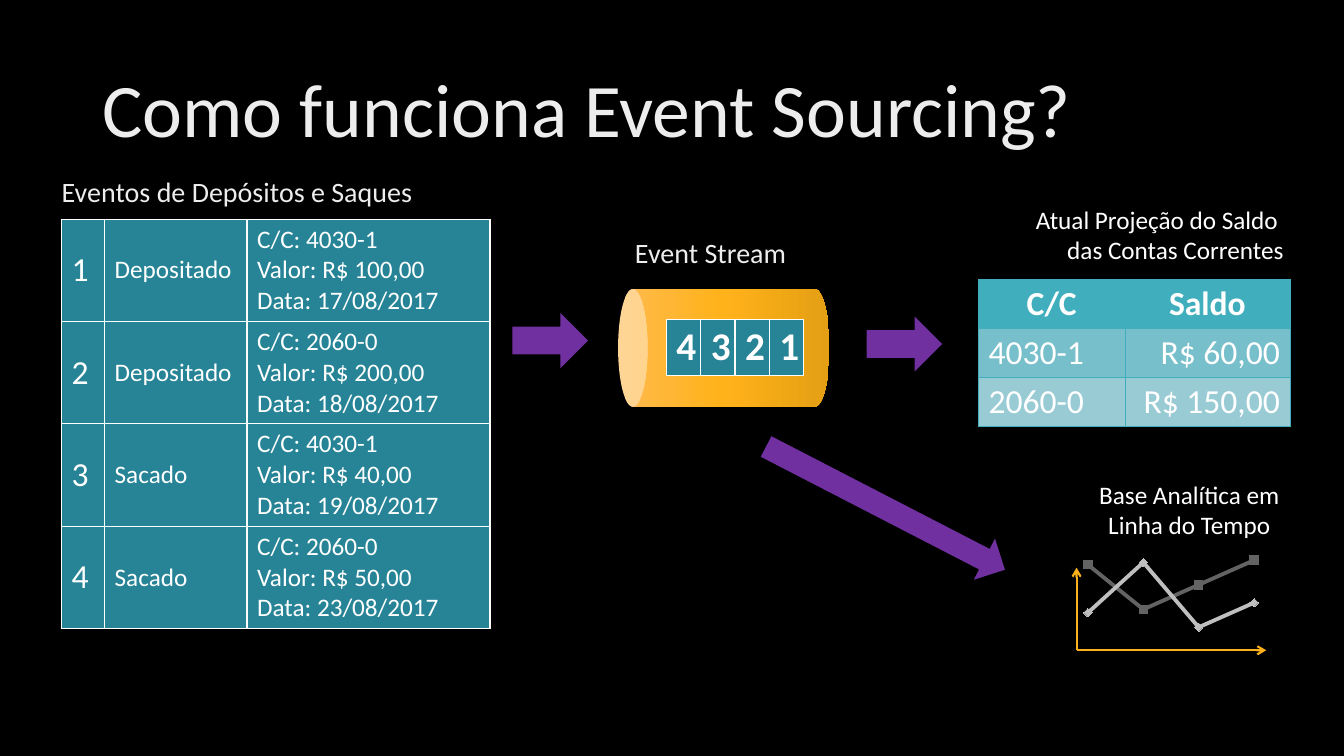
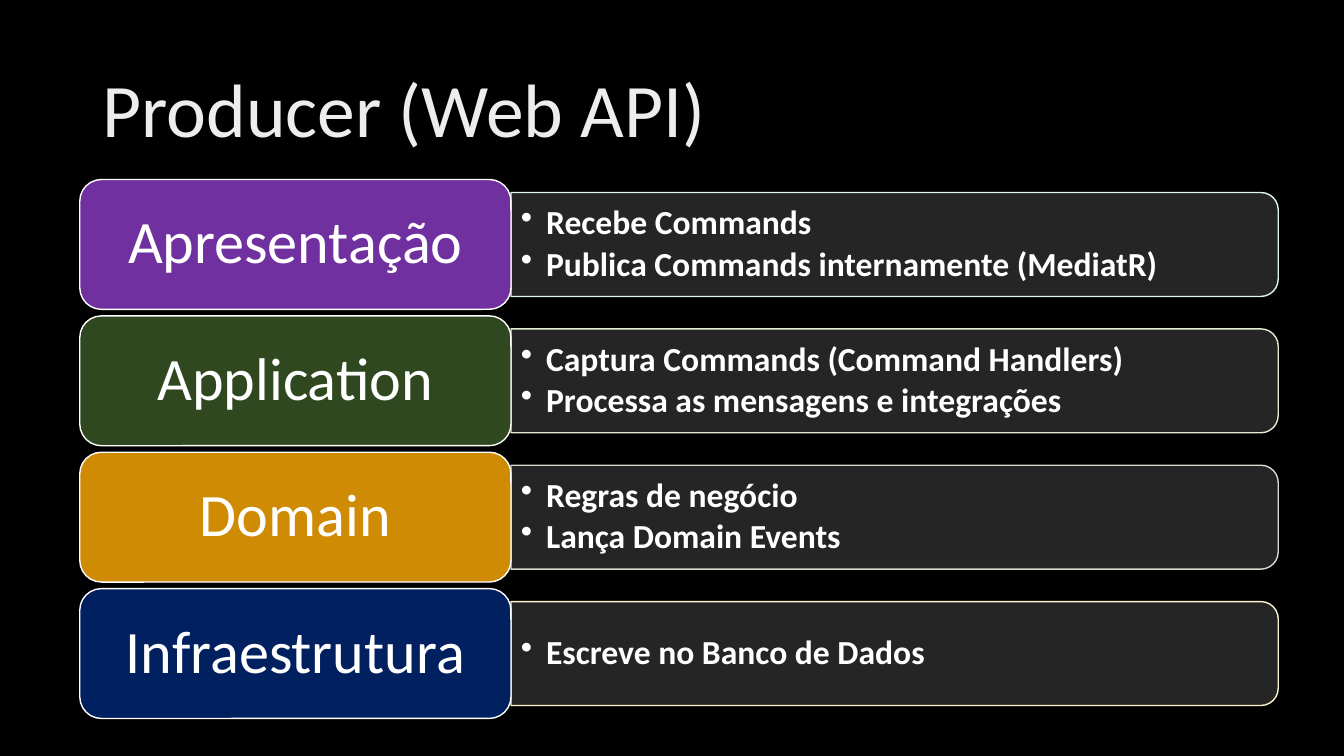
"""Build two slides that explain event sourcing and its producer layers."""
from dataclasses import dataclass
from typing import Any, NamedTuple, Optional

from lxml.etree import SubElement
from pptx import Presentation
from pptx.chart.data import CategoryChartData
from pptx.dml.color import RGBColor
from pptx.enum.chart import XL_CHART_TYPE, XL_MARKER_STYLE
from pptx.enum.shapes import MSO_CONNECTOR, MSO_SHAPE
from pptx.enum.text import MSO_ANCHOR, PP_ALIGN
from pptx.oxml import parse_xml
from pptx.oxml.ns import nsdecls, qn
from pptx.util import Pt


@dataclass(frozen=True)
class Theme:
    """Colours and type sizes of the deck."""
    font: str = "Calibri"
    ground: str = "000000"
    white: str = "FFFFFF"
    heading: str = "EDEDED"
    purple: str = "7030A0"
    event: str = "268496"
    balance: str = "41AEBD"
    balance_rows: tuple = ("77BFCB", "99CBD4")
    can: tuple = ((0, "FFBA4F"), (50, "FFB219"), (100, "E59F14"))
    axis: str = "FCB11C"
    trends: tuple = ("636363", "BFBFBF")
    panel: str = "252526"
    title_size: float = 54
    layer_size: float = 43
    stream_size: float = 28
    large_size: float = 24
    caption_size: float = 20
    body_size: float = 18


THEME = Theme()


class Frame(NamedTuple):
    """Left, top, width and height in points."""
    left: float
    top: float
    width: float
    height: float

    def lengths(self) -> list:
        """Return the four values as lengths."""
        return [Pt(value) for value in self]


class Style(NamedTuple):
    """Look of a text."""
    size: float
    color: str = THEME.white
    bold: bool = False
    align: PP_ALIGN = PP_ALIGN.LEFT
    spacing: Optional[float] = None
    after: float = 0


class CellLook(NamedTuple):
    """Text, fill and look of one table cell."""
    text: str
    style: Style
    fill: str
    anchor: MSO_ANCHOR = MSO_ANCHOR.TOP


class Label(NamedTuple):
    """A free text on the page."""
    text: str
    frame: Frame
    style: Style
    anchor: MSO_ANCHOR = MSO_ANCHOR.TOP
    wrap: bool = True


class Arrow(NamedTuple):
    """A block arrow."""
    frame: Frame
    rotation: float = 0


class Layer(NamedTuple):
    """One application layer with its duties."""
    name: str
    color: str
    outline: str
    duties: tuple


HEADING = Style(THEME.title_size, THEME.heading, spacing=0.9)
CAPTION = Style(THEME.caption_size, THEME.heading, spacing=0.9)
BODY = Style(THEME.body_size)
LARGE = Style(THEME.large_size)
LABELS = (
    Label("Atual Projeção do Saldo \vdas Contas Correntes", Frame(682, 142.5, 242, 51),
          BODY._replace(align=PP_ALIGN.RIGHT)),
    Label("Base Analítica em\vLinha do Tempo", Frame(776, 339, 147, 51),
          BODY._replace(align=PP_ALIGN.CENTER), wrap=False),
    Label("Event Stream", Frame(446.5, 150, 128, 63), CAPTION, MSO_ANCHOR.MIDDLE),
    Label("Eventos de Depósitos e Saques", Frame(37, 106.5, 316, 63), CAPTION, MSO_ANCHOR.MIDDLE),
)
ARROWS = (
    Arrow(Frame(366, 223.5, 54, 39.5)),
    Arrow(Frame(619, 226, 54, 39.5)),
    Arrow(Frame(536.5, 346.5, 192, 33), 27.3),
)
EVENTS = (
    ("Depositado", "4030-1", "100,00", "17/08/2017"),
    ("Depositado", "2060-0", "200,00", "18/08/2017"),
    ("Sacado", "4030-1", "40,00", "19/08/2017"),
    ("Sacado", "2060-0", "50,00", "23/08/2017"),
)
BALANCES = (("4030-1", "R$ 60,00"), ("2060-0", "R$ 150,00"))
TRENDS = (
    ("Series 1", (96, 56, 78, 100), XL_MARKER_STYLE.SQUARE),
    ("Series 2", (53, 98, 40, 62), XL_MARKER_STYLE.DIAMOND),
)
LAYERS = (
    Layer("Apresentação", THEME.purple, "DDF7EF",
          ("Recebe Commands", "Publica Commands internamente (MediatR)")),
    Layer("Application", "30481F", "E0EDD0",
          ("Captura Commands (Command Handlers)", "Processa as mensagens e integrações")),
    Layer("Domain", "CF8B03", "D2DBCE", ("Regras de negócio", "Lança Domain Events")),
    Layer("Infraestrutura", "002060", "FBF2CE", ("Escreve no Banco de Dados",)),
)


def rgb(color: str) -> RGBColor:
    """Turn a hex text into a colour."""
    return RGBColor.from_string(color)


def assign(target: Any, values: dict) -> None:
    """Set attributes from a dict."""
    for name, value in values.items():
        setattr(target, name, value)


def paint(fill: Any, color: str) -> None:
    """Make a fill solid."""
    fill.solid()
    fill.fore_color.rgb = rgb(color)


def write(text_frame: Any, lines: tuple, style: Style, bulleted: bool = False) -> None:
    """Write paragraphs in one style."""
    text_frame.text = "\n".join(lines)
    for para in text_frame.paragraphs:
        if bulleted:
            properties = para._p.get_or_add_pPr()
            assign_bullet = {"marL": str(Pt(18)), "indent": str(Pt(-18))}
            for name, value in assign_bullet.items():
                properties.set(name, value)
            SubElement(properties, qn("a:buChar")).set("char", "•")
        assign(para, {"alignment": style.align, "line_spacing": style.spacing,
                      "space_before": Pt(0), "space_after": Pt(style.after)})
        for span in para.runs:
            assign(span.font, {"name": THEME.font, "size": Pt(style.size), "bold": style.bold})
            span.font.color.rgb = rgb(style.color)


def add_label(page: Any, label: Label, bulleted: bool = False) -> None:
    """Add a text box."""
    box = page.shapes.add_textbox(*label.frame.lengths()).text_frame
    assign(box, {"word_wrap": label.wrap, "vertical_anchor": label.anchor})
    write(box, tuple(label.text.split("\n")), label.style, bulleted)


def add_block(page: Any, kind: MSO_SHAPE, frame: Frame, color: str,
              outline: Optional[str] = None, rotation: float = 0) -> Any:
    """Add a flat preset shape."""
    block = page.shapes.add_shape(kind, *frame.lengths())
    block.shadow.inherit = False
    block.rotation = rotation
    paint(block.fill, color)
    if outline:
        paint(block.line.fill, outline)
        block.line.width = Pt(1)
    else:
        block.line.fill.background()
    return block


def add_can(page: Any, frame: Frame) -> None:
    """Add the lying can with its gradient."""
    can = add_block(page, MSO_SHAPE.CAN, frame, THEME.can[0][1], rotation=270)
    stops = "".join(f'<a:gs pos="{position * 1000}"><a:srgbClr val="{color}"/></a:gs>'
                    for position, color in THEME.can)
    solid = can._element.spPr.find(qn("a:solidFill"))
    solid.getparent().replace(solid, parse_xml(
        f'<a:gradFill {nsdecls("a")} rotWithShape="1"><a:gsLst>{stops}</a:gsLst>'
        '<a:lin ang="5400000" scaled="0"/></a:gradFill>'))


def add_grid(page: Any, left: float, top: float, widths: tuple, height: float,
             rows: list, border: str, weight: float, inset: float = 3.6) -> None:
    """Add a table whose rows share one height."""
    frame = Frame(left, top, sum(widths), height * len(rows))
    table = page.shapes.add_table(len(rows), len(widths), *frame.lengths()).table
    assign(table, {"first_row": False, "horz_banding": False})
    for column, width in zip(table.columns, widths):
        column.width = Pt(width)
    for row, looks in zip(table.rows, rows):
        row.height = Pt(height)
        for cell, look in zip(row.cells, looks):
            properties = cell._tc.get_or_add_tcPr()
            for side in ("lnL", "lnR", "lnT", "lnB"):
                properties.append(parse_xml(
                    f'<a:{side} {nsdecls("a")} w="{Pt(weight)}"><a:solidFill>'
                    f'<a:srgbClr val="{border}"/></a:solidFill></a:{side}>'))
            paint(cell.fill, look.fill)
            assign(cell, {"margin_top": Pt(inset), "margin_bottom": Pt(inset),
                          "vertical_anchor": look.anchor})
            write(cell.text_frame, tuple(look.text.split("\n")), look.style)


def add_trend_chart(page: Any, frame: Frame) -> None:
    """Add the small line chart without axes."""
    data = CategoryChartData()
    data.categories = ["1", "2", "3", "4"]
    for name, values, _ in TRENDS:
        data.add_series(name, values)
    chart = page.shapes.add_chart(XL_CHART_TYPE.LINE_MARKERS, *frame.lengths(), data).chart
    assign(chart, {"has_legend": False, "has_title": False})
    assign(chart.font, {"name": THEME.font, "size": Pt(THEME.body_size)})
    chart.font.color.rgb = rgb(THEME.white)
    chart.category_axis.visible = False
    assign(chart.value_axis, {"visible": False, "has_major_gridlines": False,
                              "minimum_scale": 0, "maximum_scale": 114})
    plot = chart.plots[0]
    plot.vary_by_categories = False
    for series, (_, _, marker), color in zip(plot.series, TRENDS, THEME.trends):
        series.smooth = False
        paint(series.format.line.fill, color)
        series.format.line.width = Pt(2.75)
        assign(series.marker, {"style": marker, "size": 6})
        paint(series.marker.format.fill, color)
        paint(series.marker.format.line.fill, color)
    area = chart._chartSpace.chart.plotArea
    for layout in area.findall(qn("c:layout")):
        area.remove(layout)
    sizes = "".join(f'<c:{name} val="{value}"/>' for name, value in (
        ("layoutTarget", "inner"), ("xMode", "edge"), ("yMode", "edge"),
        ("x", 0.02), ("y", 0), ("w", 0.96), ("h", 0.99)))
    area.insert(0, parse_xml(f'<c:layout {nsdecls("c")}><c:manualLayout>{sizes}'
                             '</c:manualLayout></c:layout>'))


def add_axis(page: Any, start: tuple, end: tuple) -> None:
    """Add an axis line with an arrowhead."""
    points = [Pt(value) for value in start + end]
    axis = page.shapes.add_connector(MSO_CONNECTOR.STRAIGHT, *points)
    paint(axis.line.fill, THEME.axis)
    axis.line.width = Pt(1.5)
    SubElement(axis.line._get_or_add_ln(), qn("a:tailEnd")).set("type", "arrow")
    SubElement(axis._element.spPr, qn("a:effectLst"))


def add_page(deck: Any, title: str) -> Any:
    """Add a black page with its title."""
    page = deck.slides.add_slide(deck.slide_layouts[5])
    paint(page.background.fill, THEME.ground)
    holder = page.shapes.title
    assign(holder, dict(zip(("left", "top", "width", "height"),
                            Frame(66, 29, 828, 104).lengths())))
    holder.text_frame.vertical_anchor = MSO_ANCHOR.MIDDLE
    write(holder.text_frame, (title,), HEADING)
    return page


def build_sourcing(deck: Any) -> None:
    """Draw the flow from events to projections."""
    page = add_page(deck, "Como funciona Event Sourcing?")
    middle = MSO_ANCHOR.MIDDLE
    events = [(CellLook(str(number), LARGE, THEME.event, middle),
               CellLook(kind, BODY, THEME.event, middle),
               CellLook(f"C/C: {account}\vValor: R$ {value}\nData: {date}", BODY, THEME.event))
              for number, (kind, account, value, date) in enumerate(EVENTS, 1)]
    add_grid(page, 44, 156.5, (30.75, 101.75, 173.5), 73.1, events, THEME.white, 1)
    add_can(page, Frame(475, 173, 84, 151))
    header = LARGE._replace(bold=True, align=PP_ALIGN.CENTER)
    balances = [tuple(CellLook(text, header, THEME.balance) for text in ("C/C", "Saldo"))]
    for (account, value), color in zip(BALANCES, THEME.balance_rows):
        balances.append((CellLook(account, LARGE, color),
                         CellLook(value, LARGE._replace(align=PP_ALIGN.RIGHT), color)))
    add_grid(page, 699, 199.5, (104.5, 118), 34.5, balances, THEME.balance, 0.5, 2.9)
    digit = Style(THEME.stream_size, bold=True)
    stream = [tuple(CellLook(text, digit, THEME.event) for text in "4321")]
    add_grid(page, 476, 228, (24.5,) * 4, 39, stream, THEME.white, 1, 2.9)
    add_trend_chart(page, Frame(754, 389, 165, 92))
    for label in LABELS:
        add_label(page, label)
    for end in ((904.5, 464.5), (769, 405.5)):
        add_axis(page, (769, 464.5), end)
    for arrow in ARROWS:
        add_block(page, MSO_SHAPE.RIGHT_ARROW, arrow.frame, THEME.purple, rotation=arrow.rotation)


def build_producer(deck: Any) -> None:
    """Draw the stacked layers of the producer."""
    page = add_page(deck, "Producer (Web API)")
    left, top, width, height, pitch = 57, 128.25, 308, 92.75, 97.4
    panel_width, panel_height = 548, 74.25
    edge = left + width
    name_style = Style(THEME.layer_size, align=PP_ALIGN.CENTER, spacing=0.9)
    duty_style = Style(THEME.large_size, bold=True, spacing=0.9, after=3.6)
    for index, layer in enumerate(LAYERS):
        row = top + index * pitch
        center = row + height / 2
        upright = Frame(edge + (panel_width - panel_height) / 2, center - panel_width / 2,
                        panel_height, panel_width)
        add_block(page, MSO_SHAPE.ROUND_2_SAME_RECTANGLE, upright, THEME.panel, layer.outline, 90)
        duties = Frame(edge, center - 33.5, 544, 67)
        add_label(page, Label("\n".join(layer.duties), duties, duty_style, MSO_ANCHOR.MIDDLE), True)
        block = add_block(page, MSO_SHAPE.ROUNDED_RECTANGLE, Frame(left, row, width, height),
                          layer.color, THEME.white)
        block.text_frame.vertical_anchor = MSO_ANCHOR.MIDDLE
        write(block.text_frame, (layer.name,), name_style)


def main() -> None:
    """Build and save the deck."""
    deck = Presentation()
    assign(deck, {"slide_width": Pt(960), "slide_height": Pt(540)})
    build_sourcing(deck)
    build_producer(deck)
    deck.save("out.pptx")


if __name__ == "__main__":
    main()
